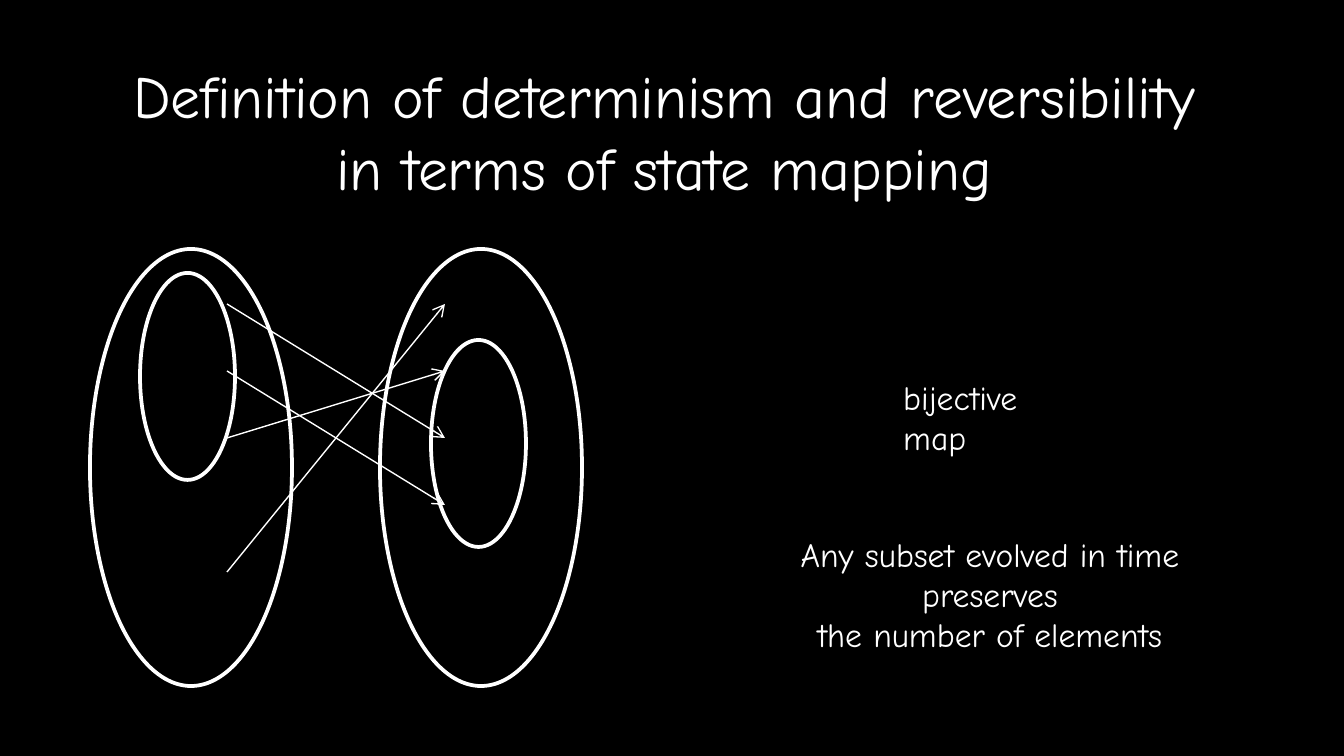
from dataclasses import dataclass

from lxml import etree
from pptx import Presentation
from pptx.dml.color import RGBColor
from pptx.enum.shapes import MSO_CONNECTOR, MSO_SHAPE
from pptx.enum.text import MSO_ANCHOR, MSO_AUTO_SIZE, PP_ALIGN
from pptx.oxml.ns import qn
from pptx.util import Emu, Pt

OVAL, STRAIGHT = MSO_SHAPE.OVAL, MSO_CONNECTOR.STRAIGHT
TOP, BOTTOM = MSO_ANCHOR.TOP, MSO_ANCHOR.BOTTOM
LEFT, CENTER = PP_ALIGN.LEFT, PP_ALIGN.CENTER

# Content: lengths in px
TITLE = ["Definition of determinism and reversibility\vin terms of state mapping"]
TITLE_BOX = (102, 52, 1125, 159)
NOTES = [
    (["bijective map"], (890, 370, 212, 54), LEFT, TOP),
    (["Any subset evolved in time preserves", "the number of elements"],
     (718, 566, 544, 95), CENTER, BOTTOM),
]
STATE_SPACES = [(90, 249, 202, 437), (380, 249, 202, 437)]
SUBSETS = [(140, 273, 95, 207), (431, 340, 95, 207)]
MAPPING = [(0, 2), (1, 3), (2, 1), (4, 0)]  # row before, row after
BEFORE_X, AFTER_X = 227, 445
FIRST_ROW, ROW_STEP = 304, 67


@dataclass
class Theme:
    font: str = "Comic Neue"
    ink: RGBColor = RGBColor(255, 255, 255)
    paper: RGBColor = RGBColor(0, 0, 0)
    title: int = 32
    note: int = 18
    outline: float = 2
    arrow: float = 0.75


THEME = Theme()


def px(n):
    return Emu(round(n * 914400 / 134.4))


def place(shape, box):
    shape.left, shape.top, shape.width, shape.height = map(px, box)


def write(shape, lines, size, align, anchor):
    tf = shape.text_frame
    tf.word_wrap = True
    tf.auto_size = MSO_AUTO_SIZE.NONE
    tf.vertical_anchor = anchor
    for i, line in enumerate(lines):
        p = tf.add_paragraph() if i else tf.paragraphs[0]
        p.text = line
        p.alignment = align
        p.font.name, p.font.size = THEME.font, Pt(size)
        p.font.color.rgb = THEME.ink


def set_line(shape, width):
    shape.line.color.rgb = THEME.ink
    shape.line.width = Pt(width)


def add_set(s, box):
    sp = s.shapes.add_shape(OVAL, *map(px, box))
    sp.shadow.inherit = False
    sp.fill.background()
    set_line(sp, THEME.outline)


def add_arrow(s, start, end):
    cx = s.shapes.add_connector(STRAIGHT, *map(px, start + end))
    set_line(cx, THEME.arrow)
    etree.SubElement(cx.line._get_or_add_ln(), qn("a:tailEnd"), type="arrow")
    etree.SubElement(cx._element.spPr, qn("a:effectLst"))


def row_y(row):
    return FIRST_ROW + row * ROW_STEP


def main():
    prs = Presentation()
    prs.slide_width, prs.slide_height = px(1344), px(756)
    s = prs.slides.add_slide(prs.slide_layouts[5])
    s.background.fill.solid()
    s.background.fill.fore_color.rgb = THEME.paper

    place(s.shapes.title, TITLE_BOX)
    write(s.shapes.title, TITLE, THEME.title, CENTER, TOP)

    for box in STATE_SPACES:
        add_set(s, box)
    for before, after in MAPPING:
        add_arrow(s, (BEFORE_X, row_y(before)), (AFTER_X, row_y(after)))
    for box in SUBSETS:
        add_set(s, box)

    for lines, box, align, anchor in NOTES:
        write(s.shapes.add_textbox(*map(px, box)), lines, THEME.note, align, anchor)

    prs.save("out.pptx")


if __name__ == "__main__":
    main()
